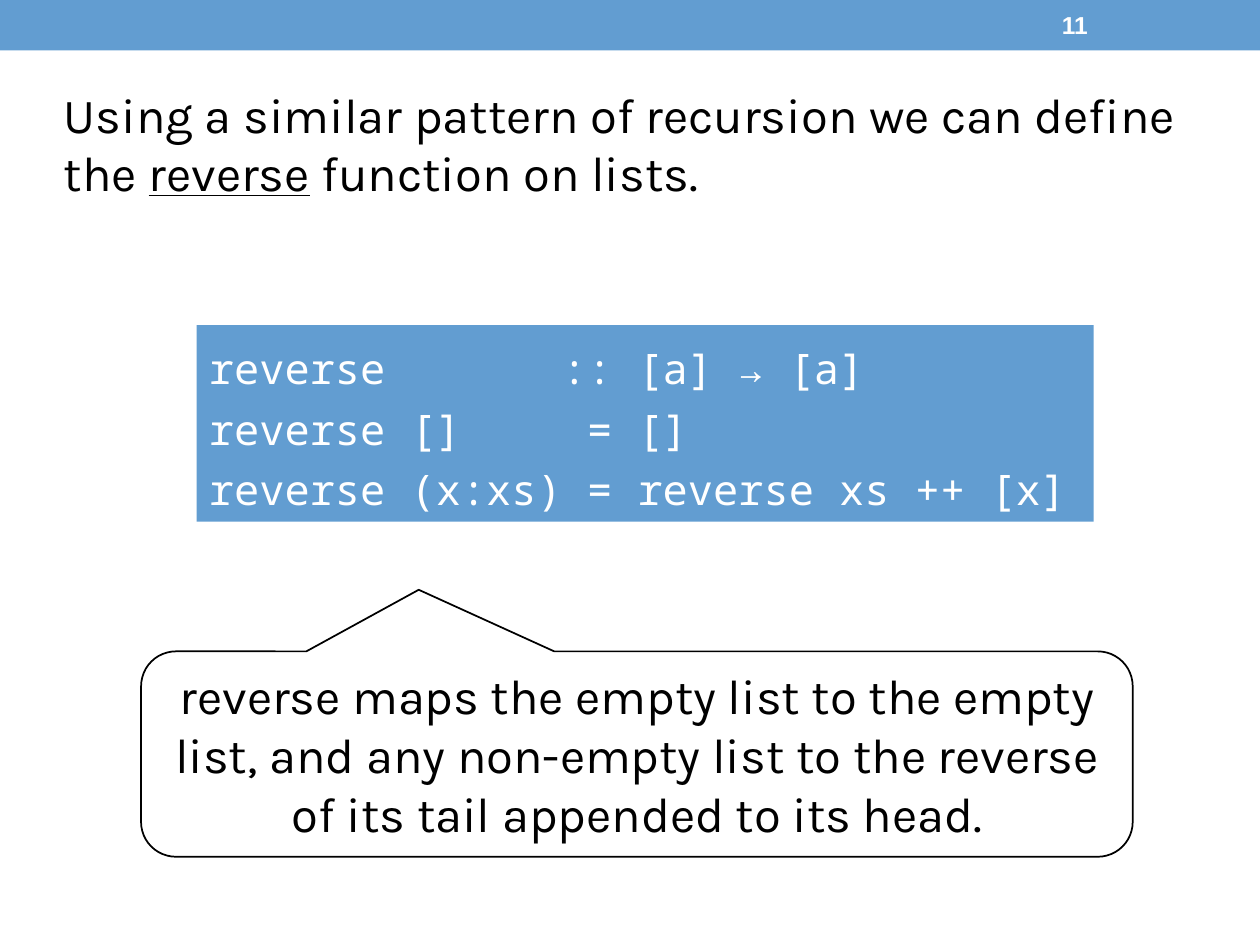
from dataclasses import dataclass

from pptx import Presentation
from pptx.dml.color import RGBColor
from pptx.enum.shapes import MSO_SHAPE
from pptx.enum.text import MSO_ANCHOR, MSO_AUTO_SIZE, PP_ALIGN
from pptx.util import Inches, Pt


@dataclass(frozen=True)
class Theme:
    blue: RGBColor = RGBColor(0x62, 0x9D, 0xD1)
    black: RGBColor = RGBColor(0, 0, 0)
    white: RGBColor = RGBColor(255, 255, 255)
    body_font: str = "Karla"
    code_font: str = "Noto Sans Mono"
    number_font: str = "Arial"
    body_size: int = 28
    code_size: int = 24
    number_size: int = 14


THEME = Theme()
PAGE_NUMBER = "11"
INTRO = [
    ("Using a similar pattern of recursion we can define the ", False),
    ("reverse", True),
    (" function on lists.", False),
]
CODE = [
    "reverse       :: [a] → [a]",
    "reverse []     = []",
    "reverse (x:xs) = reverse xs ++ [x]",
]
EXPLANATION = (
    "reverse maps the empty list to the empty list, and any non-empty list "
    "to the reverse of its tail appended to its head."
)


def add_box(slide, box, kind=None, fill=None, line=None):
    """Add a preset shape, or a text box when no kind is given."""
    position = [Inches(length) for length in box]
    if kind is None:
        shape = slide.shapes.add_textbox(*position)
    else:
        shape = slide.shapes.add_shape(kind, *position)
        shape.shadow.inherit = False
        if fill is None:
            shape.fill.background()
        else:
            shape.fill.solid()
            shape.fill.fore_color.rgb = fill
        if line is None:
            shape.line.fill.background()
        else:
            shape.line.color.rgb = line
            shape.line.width = Pt(1)
    return shape


def write(shape, paragraphs, font, size, color, align=PP_ALIGN.LEFT,
          spacing=None, wrap=True, grow=True, bold=False):
    """Fill a shape with paragraphs, each a list of (text, underlined) runs."""
    frame = shape.text_frame
    frame.word_wrap = wrap
    frame.vertical_anchor = MSO_ANCHOR.MIDDLE
    frame.auto_size = MSO_AUTO_SIZE.SHAPE_TO_FIT_TEXT if grow else MSO_AUTO_SIZE.NONE
    for index, runs in enumerate(paragraphs):
        paragraph = frame.add_paragraph() if index else frame.paragraphs[0]
        paragraph.alignment = align
        if spacing:
            paragraph.line_spacing = spacing
        for text, underlined in runs:
            run = paragraph.add_run()
            run.text = text
            run.font.name = font
            run.font.size = Pt(size)
            run.font.color.rgb = color
            run.font.bold = bold
            run.font.underline = underlined


def main():
    presentation = Presentation()
    presentation.slide_width = Inches(10)
    presentation.slide_height = Inches(7.5)
    slide = presentation.slides.add_slide(presentation.slide_layouts[6])

    add_box(slide, (0, 0, 10, 0.4), MSO_SHAPE.RECTANGLE, fill=THEME.blue)
    number = add_box(slide, (8.33, 0.02, 1.17, 0.36))
    write(number, [[(PAGE_NUMBER, False)]], THEME.number_font,
          THEME.number_size, THEME.white, grow=False, bold=True)

    intro = add_box(slide, (0.41, 0.62, 9.04, 1.03))
    write(intro, [INTRO], THEME.body_font, THEME.body_size, THEME.black)

    code = add_box(slide, (1.56, 2.58, 7.12, 1.56), MSO_SHAPE.RECTANGLE,
                   fill=THEME.blue)
    write(code, [[(text, False)] for text in CODE], THEME.code_font,
          THEME.code_size, THEME.white, spacing=1.2, wrap=False)

    callout = add_box(slide, (1.12, 5.17, 7.87, 1.63),
                      MSO_SHAPE.ROUNDED_RECTANGULAR_CALLOUT, line=THEME.black)
    for index, value in enumerate((-0.22, -0.8, 0.17)):
        callout.adjustments[index] = value
    write(callout, [[(EXPLANATION, False)]], THEME.body_font, THEME.body_size,
          THEME.black, align=PP_ALIGN.CENTER)

    presentation.save("out.pptx")


if __name__ == "__main__":
    main()
